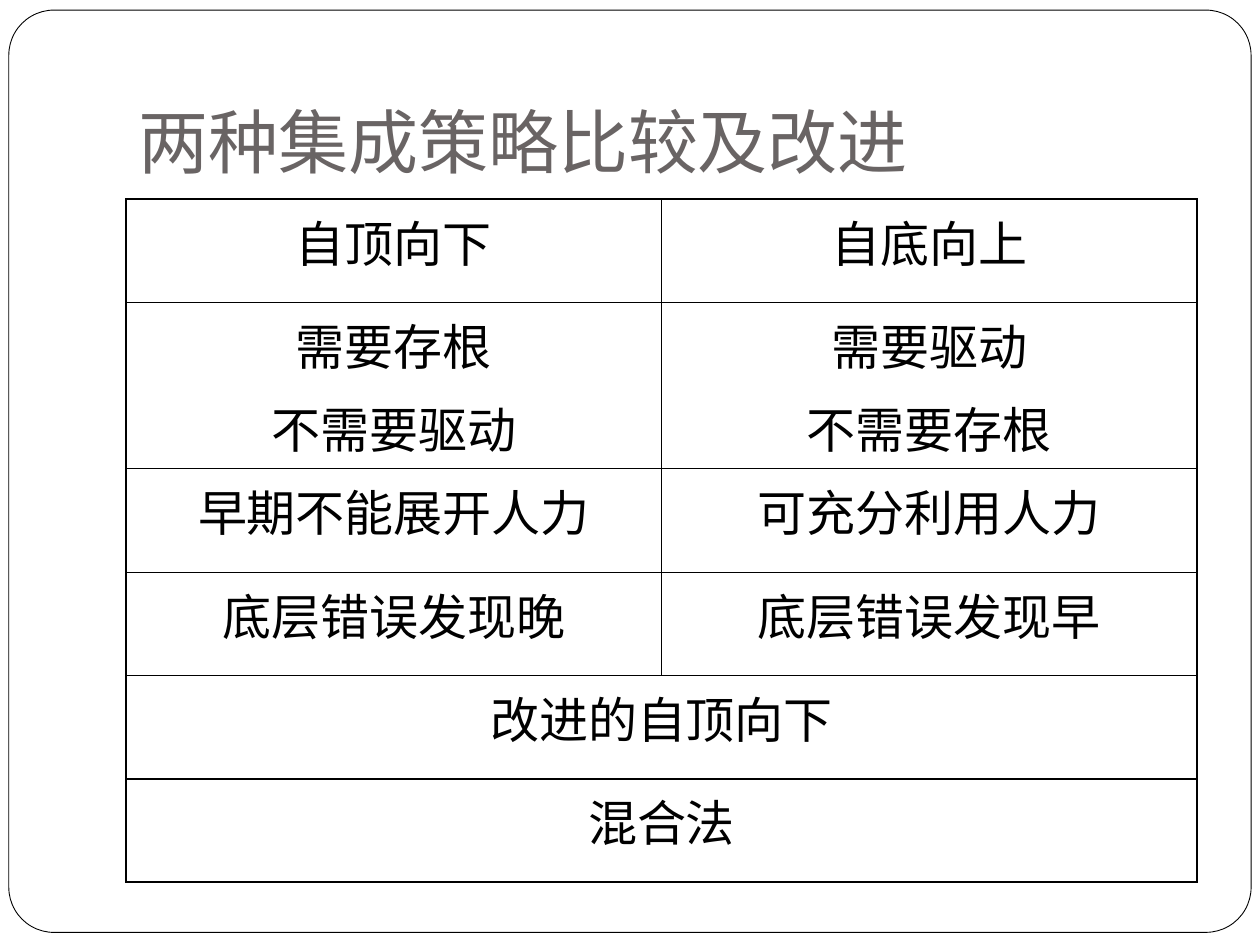
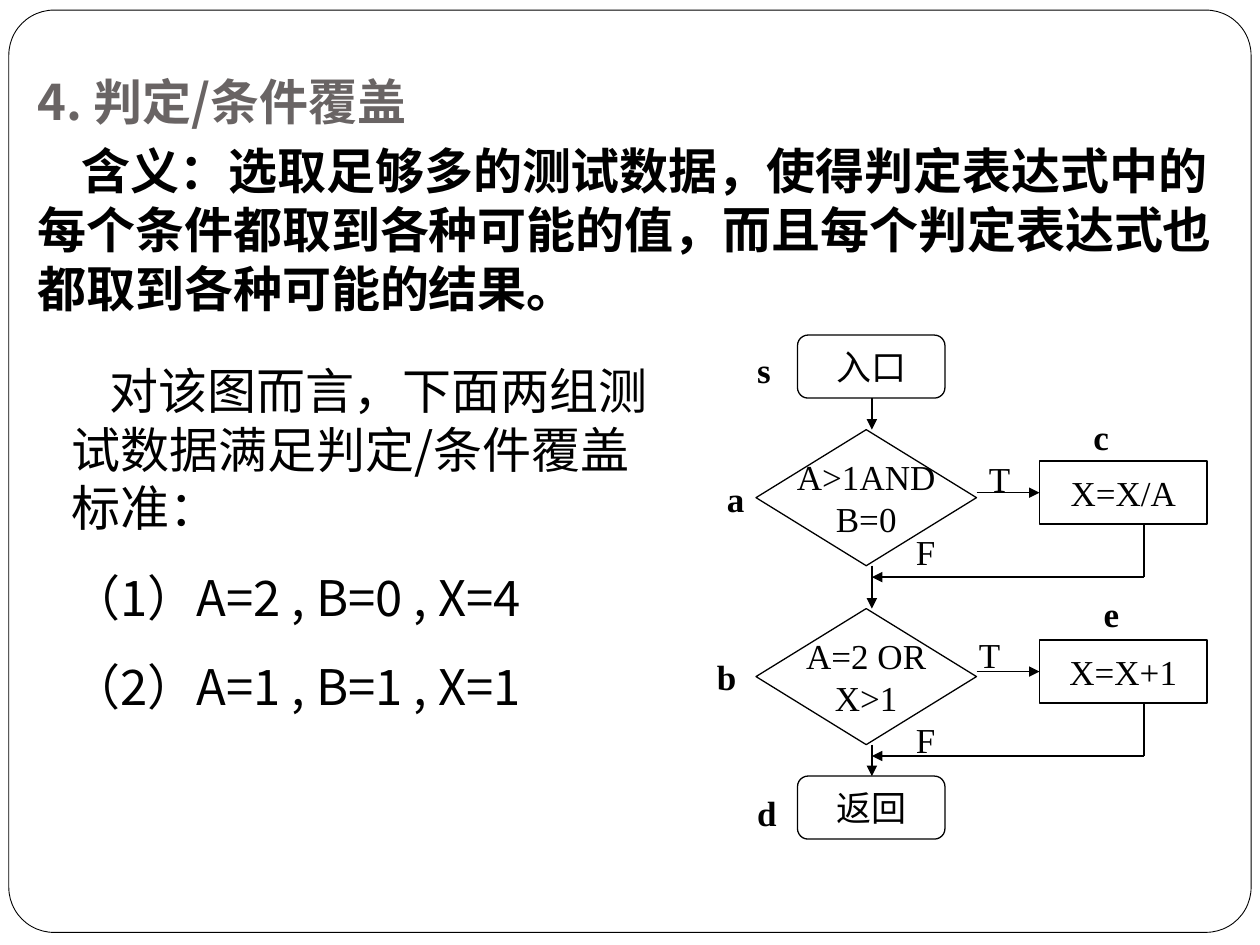
import pptx
import pptx.dml.color
import pptx.enum.shapes
import pptx.enum.text
import pptx.oxml
import pptx.oxml.ns
import pptx.util
from lxml import etree

Inches = pptx.util.Inches
Pt = pptx.util.Pt
SHAPE = pptx.enum.shapes.MSO_SHAPE
ALIGN = pptx.enum.text.PP_ALIGN
ANCHOR = pptx.enum.text.MSO_ANCHOR
qn = pptx.oxml.ns.qn

BLACK = pptx.dml.color.RGBColor(0x00, 0x00, 0x00)
WHITE = pptx.dml.color.RGBColor(0xFF, 0xFF, 0xFF)
TITLE_GREY = pptx.dml.color.RGBColor(0x69, 0x64, 0x64)

CJK_FONT = "Noto Sans CJK SC"
FLOW_FONT = "Times New Roman"
THICK, THIN = 1.08, 0.45

STRATEGY_ROWS = [
    ["自顶向下", "自底向上"],
    ["需要存根\n不需要驱动", "需要驱动\n不需要存根"],
    ["早期不能展开人力", "可充分利用人力"],
    ["底层错误发现晚", "底层错误发现早"],
    ["改进的自顶向下"],
    ["混合法"],
]


def write(frame, lines, size, font, color=BLACK, bold=False, align=ALIGN.LEFT,
          gap=0, first_indent=0):
    """Fill a text frame; gap is the space before every line but the first."""
    for number, line in enumerate(lines):
        paragraph = frame.add_paragraph() if number else frame.paragraphs[0]
        paragraph.alignment = align
        paragraph.space_before = Pt(gap if number else 0)
        if first_indent and not number:
            properties = paragraph._p.get_or_add_pPr()
            properties.set("marL", "0")
            properties.set("indent", str(Inches(first_indent)))
        run = paragraph.add_run()
        run.text = line
        run.font.size = Pt(size)
        run.font.name = font
        run.font.bold = bold
        run.font.color.rgb = color
        east_asian = etree.Element(qn("a:ea"), typeface=CJK_FONT)
        run.font._element.find(qn("a:latin")).addnext(east_asian)


def add_outlined(shapes, preset, left, top, width, height, weight=0.75):
    outlined = shapes.add_shape(preset, Inches(left), Inches(top),
                                Inches(width), Inches(height))
    outlined.shadow.inherit = False
    outlined.fill.solid()
    outlined.fill.fore_color.rgb = WHITE
    outlined.line.color.rgb = BLACK
    outlined.line.width = Pt(weight)
    return outlined


def add_framed_slide(deck):
    """Add a title-only slide with the rounded page frame at the back."""
    slide = deck.slides.add_slide(deck.slide_layouts[5])
    frame = add_outlined(slide.shapes, SHAPE.ROUNDED_RECTANGLE,
                         0.07, 0.08, 9.86, 7.32, 0.5)
    frame.adjustments[0] = 0.049
    slide.shapes.element.insert(2, frame.element)
    return slide


def place_title(slide, text, box, size, font, anchor, bold=False, bottom=0.05):
    title = slide.shapes.title
    title.left, title.top, title.width, title.height = map(Inches, box)
    frame = title.text_frame
    frame.auto_size = pptx.enum.text.MSO_AUTO_SIZE.NONE
    frame.vertical_anchor = anchor
    frame.margin_bottom = Inches(bottom)
    write(frame, [text], size, font, TITLE_GREY, bold)


def add_text(shapes, lines, left, top, width, height, size, font, **style):
    box = shapes.add_textbox(Inches(left), Inches(top), Inches(width), Inches(height))
    box.text_frame.word_wrap = True
    write(box.text_frame, lines, size, font, **style)


def set_borders(cell, **weights):
    properties = cell._tc.get_or_add_tcPr()
    for position, side in enumerate("LRTB"):
        properties.insert(position, pptx.oxml.parse_xml(
            f'<a:ln{side} xmlns:a="{pptx.oxml.ns.nsdecls("a").split(chr(34))[1]}" '
            f'w="{Pt(weights[side])}"><a:solidFill><a:srgbClr val="{BLACK}"/>'
            f'</a:solidFill></a:ln{side}>'))


def add_strategy_table(slide):
    table = slide.shapes.add_table(len(STRATEGY_ROWS), 2, Inches(1), Inches(1.58),
                                   Inches(8.5), Inches(5.23)).table
    table.first_row = table.horz_banding = False
    for r, texts in enumerate(STRATEGY_ROWS):
        table.rows[r].height = Inches(1.13 if r == 1 else 0.82)
        merged = len(texts) == 1
        middle = THICK if merged else THIN
        above = THIN if r in (2, 3) else THICK
        below = THIN if r in (1, 2) else THICK
        for c in range(2):
            cell = table.cell(r, c)
            cell.fill.background()
            set_borders(cell, L=middle if c else THICK, R=THICK if c else middle,
                        T=above, B=below)
        if merged:
            table.cell(r, 0).merge(table.cell(r, 1))
        for c, text in enumerate(texts):
            write(table.cell(r, c).text_frame, text.split("\n"), 28, "Arial",
                  align=ALIGN.CENTER, gap=7)


def add_node(shapes, preset, lines, left, top, width, height):
    node = add_outlined(shapes, preset, left, top, width, height)
    node.text_frame.word_wrap = False
    node.text_frame.vertical_anchor = ANCHOR.MIDDLE
    write(node.text_frame, lines, 20, FLOW_FONT, align=ALIGN.CENTER)


def add_line(shapes, start, end, arrow=True):
    line = shapes.add_connector(pptx.enum.shapes.MSO_CONNECTOR.STRAIGHT,
                                *map(Inches, start + end))
    line.line.color.rgb = BLACK
    line.line.width = Pt(0.75)
    if arrow:
        etree.SubElement(line.line._get_or_add_ln(), qn("a:tailEnd"), type="triangle")
    etree.SubElement(line.element.spPr, qn("a:effectLst"))


def add_label(shapes, text, left, top, width=0.35, bold=False):
    add_text(shapes, [text], left, top, width, 0.44, 20, FLOW_FONT, bold=bold)


def add_branch(shapes, top, condition, action, next_top):
    """Add a decision, its action box and the lines that join them."""
    trunk, action_middle = 6.92, 9.08
    add_node(shapes, SHAPE.FLOWCHART_DECISION, condition, 6, top, 1.75, 1.08)
    add_node(shapes, SHAPE.FLOWCHART_PROCESS, [action], 8.25, top + 0.25, 1.33, 0.5)
    add_line(shapes, (trunk, top + 1.08), (trunk, next_top))
    add_line(shapes, (7.75, top + 0.5), (8.25, top + 0.5))
    corner = (action_middle, top + 1.17)
    add_line(shapes, (action_middle, top + 0.75), corner, arrow=False)
    add_line(shapes, corner, (trunk, top + 1.17))


def add_flowchart(slide):
    shapes = slide.shapes.add_group_shape().shapes
    first, second, end = 3.41, 4.83, 6.16
    for text, top in (("入口", 2.66), ("返回", end)):
        add_node(shapes, SHAPE.FLOWCHART_ALTERNATE_PROCESS, [text], 6.33, top, 1.17, 0.5)
    add_line(shapes, (6.92, 3.16), (6.92, first))
    add_branch(shapes, first, ["A>1AND", "B=0"], "X=X/A", second)
    add_branch(shapes, second, ["A=2 OR", "X>1"], "X=X+1", end)

    add_label(shapes, "T", 7.75, 3.58, 0.42)
    add_label(shapes, "T", 7.67, 4.98)
    for top in (4.16, 5.65):
        add_label(shapes, "F", 7.17, top)
    for name, left, top in (("s", 5.91, 2.72), ("a", 5.67, 3.74), ("b", 5.59, 5.15),
                            ("d", 5.91, 6.23), ("c", 8.58, 3.25), ("e", 8.66, 4.65)):
        add_label(shapes, name, left, top, bold=True)


def main():
    deck = pptx.Presentation()
    deck.slide_width, deck.slide_height = Inches(10), Inches(7.5)

    comparison = add_framed_slide(deck)
    place_title(comparison, "两种集成策略比较及改进", (1, 0.3, 8.5, 1.25), 40, "Lato",
                ANCHOR.BOTTOM, bottom=0.1)
    add_strategy_table(comparison)

    coverage = add_framed_slide(deck)
    place_title(coverage, "4. 判定/条件覆盖", (0.2, 0.52, 4.02, 0.57), 28, CJK_FONT,
                ANCHOR.TOP, bold=True)
    add_flowchart(coverage)
    add_text(coverage.shapes,
             ["对该图而言，下面两组测试数据满足判定/条件覆盖标准：",
              "（1）A=2 , B=0 , X=4", "（2）A=1 , B=1 , X=1"],
             0.47, 2.81, 5, 3.63, 28, CJK_FONT, gap=17.5, first_indent=0.3)
    add_text(coverage.shapes,
             ["含义：选取足够多的测试数据，使得判定表达式中的每个条件都取到各种可能的值，"
              "而且每个判定表达式也都取到各种可能的结果。"],
             0.2, 1.07, 9.53, 1.5, 28, CJK_FONT, bold=True, first_indent=0.35)

    deck.save("out.pptx")


if __name__ == "__main__":
    main()
